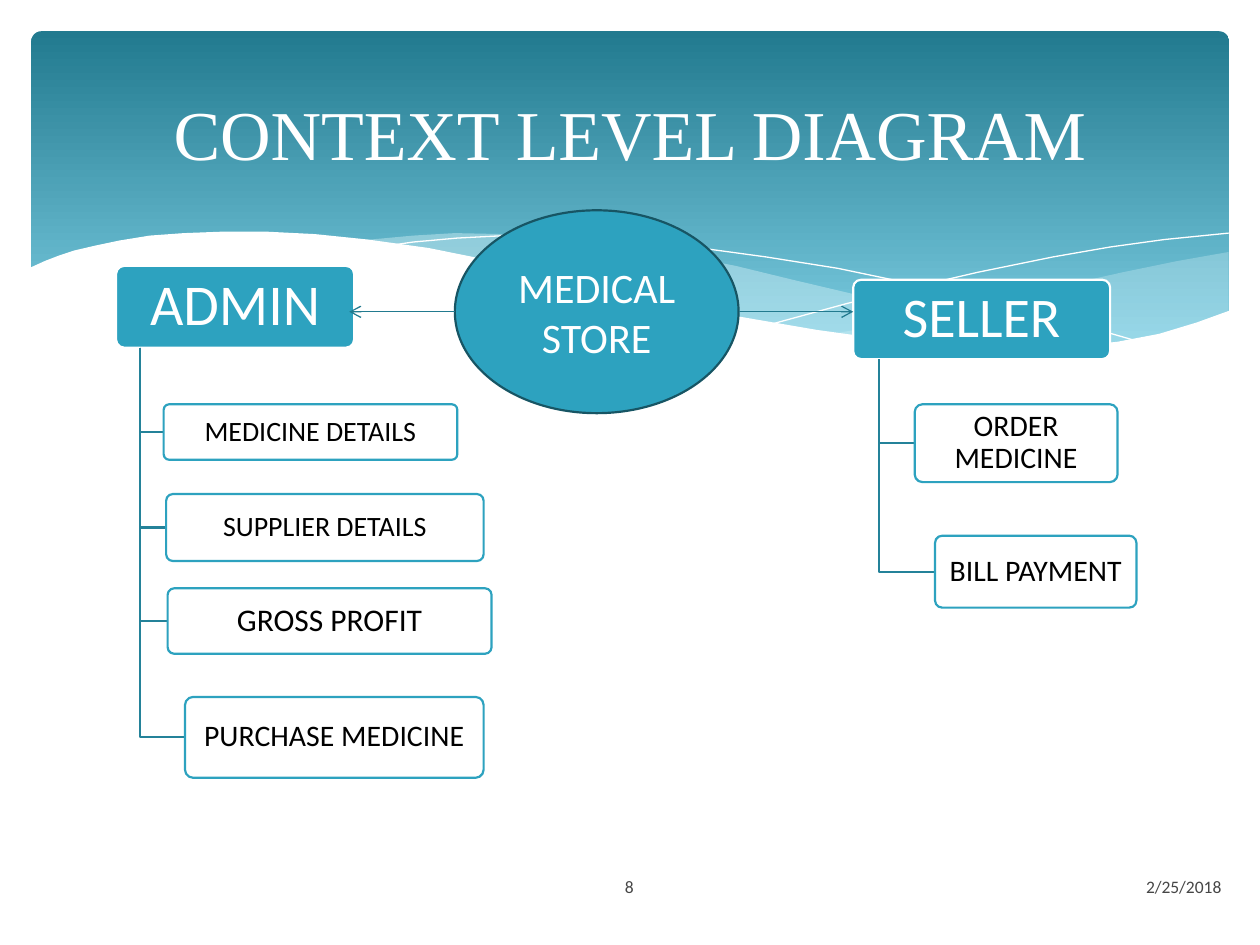
import dataclasses

import pptx
import pptx.dml.color
import pptx.enum.shapes
import pptx.enum.text
import pptx.oxml
import pptx.oxml.ns
import pptx.util

Cm, Pt = pptx.util.Cm, pptx.util.Pt
SHAPE = pptx.enum.shapes.MSO_SHAPE
ALIGN = pptx.enum.text.PP_ALIGN
ANCHOR = pptx.enum.text.MSO_ANCHOR


@dataclasses.dataclass(frozen=True)
class Theme:
    """Colours, fonts and type sizes of the slide."""
    white: str = "FFFFFF"
    black: str = "000000"
    grey: str = "464646"
    accent: str = "2DA2BF"
    branch: str = "248299"
    deep: str = "227A8F"
    sky: str = "7ACBE0"
    mist: str = "DEF5FA"
    outline: str = "175564"
    body: str = "Calibri"
    heading: str = "Times New Roman"
    title_size: int = 40
    store_size: int = 24
    footer_size: int = 10
    line: float = 1.25
    thin: float = 0.75


THEME = Theme()

PALE_RIGHT = [
    (24.77, 5.08), (23.75, 5.26), (22.63, 5.49), (21.87, 5.66), (20.45, 6.02), (19.13, 6.3),
    (17.93, 6.53), (16.79, 6.73), (17.91, 6.88), (18.92, 6.99), (19.84, 7.04), (20.68, 7.06),
    (21.69, 7.01), (22.59, 6.91), (23.39, 6.74), (24.1, 6.53), (24.77, 6.27)]
PALE_MIDDLE = [
    (22.68, 6.93), (21.26, 6.73), (19.69, 6.45), (17.93, 6.1), (15.98, 5.64), (14.83, 5.36),
    (13.74, 5.15), (12.42, 4.93), (11.23, 4.8), (10.13, 4.72), (9.17, 4.7), (8.33, 4.75),
    (7.26, 4.85), (8.2, 4.98), (9.19, 5.16), (10.26, 5.36), (11.4, 5.64), (13.46, 6.1),
    (15.27, 6.48), (16.89, 6.78), (18.34, 6.96), (19.63, 7.04), (20.78, 7.06), (21.77, 7.04)]
FALLING_LINE = [
    (7.85, 4.95), (8.33, 4.88), (9.22, 4.8), (10.19, 4.75), (11.43, 4.78), (12.95, 4.88),
    (14.12, 5), (15.44, 5.18), (16.89, 5.41), (18.47, 5.74), (20.19, 6.12), (22.07, 6.63),
    (23.04, 6.91)]
RISING_LINE = [
    (15.57, 6.53), (17.07, 6.12), (18.29, 5.82), (19.71, 5.49), (21.23, 5.18), (22.38, 4.98),
    (23.47, 4.83), (24.77, 4.7)]
WHITE_WAVE = [
    (24.82, 6.25), (24.13, 6.5), (23.37, 6.73), (22.53, 6.89), (21.59, 6.99), (20.55, 7.04),
    (19.33, 6.99), (17.98, 6.86), (16.46, 6.65), (14.71, 6.35), (12.78, 5.92), (11.35, 5.59),
    (9.93, 5.26), (8.64, 5), (7.42, 4.83), (6.35, 4.72), (5.36, 4.67), (4.5, 4.67),
    (3.71, 4.7), (3.02, 4.75), (2.41, 4.85), (1.93, 4.95), (1.5, 5.05), (1.17, 5.16),
    (0.91, 5.26), (0.58, 5.41), (0.58, 8.36), (24.82, 8.36)]


def rgb(value):
    """Turn a hex string into a colour."""
    return pptx.dml.color.RGBColor.from_string(value)


def apply(target, values):
    """Set each attribute in the dict on the target."""
    for name, value in values.items():
        setattr(target, name, value)


def paint(sp, fill=None, line=None, width=THEME.line, alpha=None):
    """Give a shape its fill, opacity percentage and outline, without shadow."""
    sp.shadow.inherit = False
    if fill:
        sp.fill.solid()
        sp.fill.fore_color.rgb = rgb(fill)
    else:
        sp.fill.background()
    if alpha:
        clr = sp.fill._xPr.find(".//" + pptx.oxml.ns.qn("a:srgbClr"))
        pptx.oxml.ns.qn("a:alpha")
        clr.append(pptx.oxml.parse_xml(
            f'<a:alpha {pptx.oxml.ns.nsdecls("a")} val="{alpha * 1000}"/>'))
    if line:
        sp.line.color.rgb = rgb(line)
        sp.line.width = Pt(width)
    else:
        sp.line.fill.background()


def write(sp, text, size, color, font=THEME.body, align=ALIGN.CENTER, spacing=1.0, inset=0.25):
    """Put one formatted paragraph into a shape."""
    tf = sp.text_frame
    apply(tf, {"word_wrap": True, "vertical_anchor": ANCHOR.MIDDLE,
               "margin_left": Cm(inset), "margin_right": Cm(inset),
               "margin_top": Cm(inset / 2), "margin_bottom": Cm(inset / 2)})
    p = tf.paragraphs[0]
    apply(p, {"alignment": align, "line_spacing": spacing})
    r = p.add_run()
    r.text = text
    apply(r.font, {"size": Pt(size), "name": font})
    r.font.color.rgb = rgb(color)


def add_box(s, kind, box):
    """Add a preset shape in a box of centimetres."""
    return s.shapes.add_shape(kind, *map(Cm, box))


def add_path(s, points, close, **look):
    """Add a freeform through points in centimetres."""
    start, *rest = [(Cm(x), Cm(y)) for x, y in points]
    builder = s.shapes.build_freeform(*start)
    builder.add_line_segments(rest, close=close)
    paint(builder.convert_to_shape(), **look)


def banner(s, box):
    """Draw the gradient header in its box with the waves along its lower edge."""
    sp = add_box(s, SHAPE.ROUNDED_RECTANGLE, box)
    sp.adjustments[0] = 0.03
    paint(sp)
    sp.fill.gradient()
    sp.fill.gradient_angle = 270
    for stop, position, color in zip(sp.fill.gradient_stops, (0, 0.9), (THEME.deep, THEME.sky)):
        stop.position = position
        stop.color.rgb = rgb(color)
    add_path(s, PALE_RIGHT, True, fill=THEME.mist, alpha=29)
    add_path(s, PALE_MIDDLE, True, fill=THEME.mist, alpha=40)
    for points in (FALLING_LINE, RISING_LINE):
        add_path(s, points, False, line=THEME.white, width=0)
    add_path(s, WHITE_WAVE, True, fill=THEME.white)


def label(s, box, text, size, color, **style):
    """Write a line of text in a box."""
    write(s.shapes.add_textbox(*map(Cm, box)), text, size, color, **style)


def tree(s, box, name, size, items):
    """Draw a heading in its box and the items that branch off below it."""
    x, y, w, h = box
    trunk, base = x + w / 10, y + h
    sp = add_box(s, SHAPE.ROUNDED_RECTANGLE, box)
    sp.adjustments[0] = 0.1
    paint(sp, THEME.accent, THEME.white)
    write(sp, name, size, THEME.white, spacing=0.9, inset=0.18)
    for text, pt, (dx, dy, iw, ih) in items:
        left, top = x + dx, y + dy
        middle = top + ih / 2
        add_path(s, [(trunk, base), (trunk, middle), (left, middle)], False, line=THEME.branch)
        sp = add_box(s, SHAPE.ROUNDED_RECTANGLE, (left, top, iw, ih))
        sp.adjustments[0] = 0.1
        paint(sp, THEME.white, THEME.accent, alpha=90)
        write(sp, text, pt, THEME.black, spacing=0.9, inset=0.12)


def store(s, box, ends):
    """Draw the central ellipse in its box and an arrow to each end."""
    x, y, w, h = box
    sp = add_box(s, SHAPE.OVAL, box)
    paint(sp, THEME.accent, THEME.outline)
    write(sp, "MEDICAL STORE", THEME.store_size, THEME.white)
    middle = Cm(y + h / 2)
    for start, end in zip((x, x + w), ends):
        c = s.shapes.add_connector(pptx.enum.shapes.MSO_CONNECTOR.STRAIGHT,
                                   Cm(start), middle, Cm(end), middle)
        c.line.color.rgb = rgb(THEME.deep)
        c.line.width = Pt(THEME.thin)
        ns = pptx.oxml.ns.nsdecls("a")
        c.line._get_or_add_ln().append(pptx.oxml.parse_xml(f'<a:tailEnd {ns} type="arrow"/>'))
        c._element.spPr.append(pptx.oxml.parse_xml(f"<a:effectLst {ns}/>"))


def main():
    """Build the slide and save it."""
    prs = pptx.Presentation()
    apply(prs, {"slide_width": Cm(25.4), "slide_height": Cm(19.05)})
    s = prs.slides.add_slide(prs.slide_layouts[6])
    banner(s, (0.63, 0.63, 24.15, 6.86))
    label(s, (14.35, 17.37, 10.52, 1.02), "2/25/2018", THEME.footer_size, THEME.grey,
          align=ALIGN.RIGHT)
    label(s, (11.07, 17.37, 3.23, 1.02), "8", THEME.footer_size, THEME.grey)
    label(s, (1.27, 0.94, 22.86, 3.48), "CONTEXT LEVEL DIAGRAM", THEME.title_size, THEME.white,
          font=THEME.heading)
    tree(s, (2.34, 5.36, 4.8, 1.65), "ADMIN", 33, [
        ("MEDICINE DETAILS", 16, (0.96, 2.79, 5.92, 1.12)),
        ("SUPPLIER DETAILS", 16, (1.01, 4.6, 6.4, 1.35)),
        ("GROSS PROFIT", 18, (1.04, 6.5, 6.53, 1.32)),
        ("PURCHASE MEDICINE", 17, (1.39, 8.69, 6.02, 1.63))])
    tree(s, (17.2, 5.64, 5.18, 1.6), "SELLER", 32, [
        ("ORDER MEDICINE", 17, (1.24, 2.51, 4.09, 1.57)),
        ("BILL PAYMENT", 17, (1.65, 5.16, 4.06, 1.45))])
    store(s, (9.17, 4.24, 5.72, 4.09), (7.04, 17.2))
    prs.save("out.pptx")


if __name__ == "__main__":
    main()
